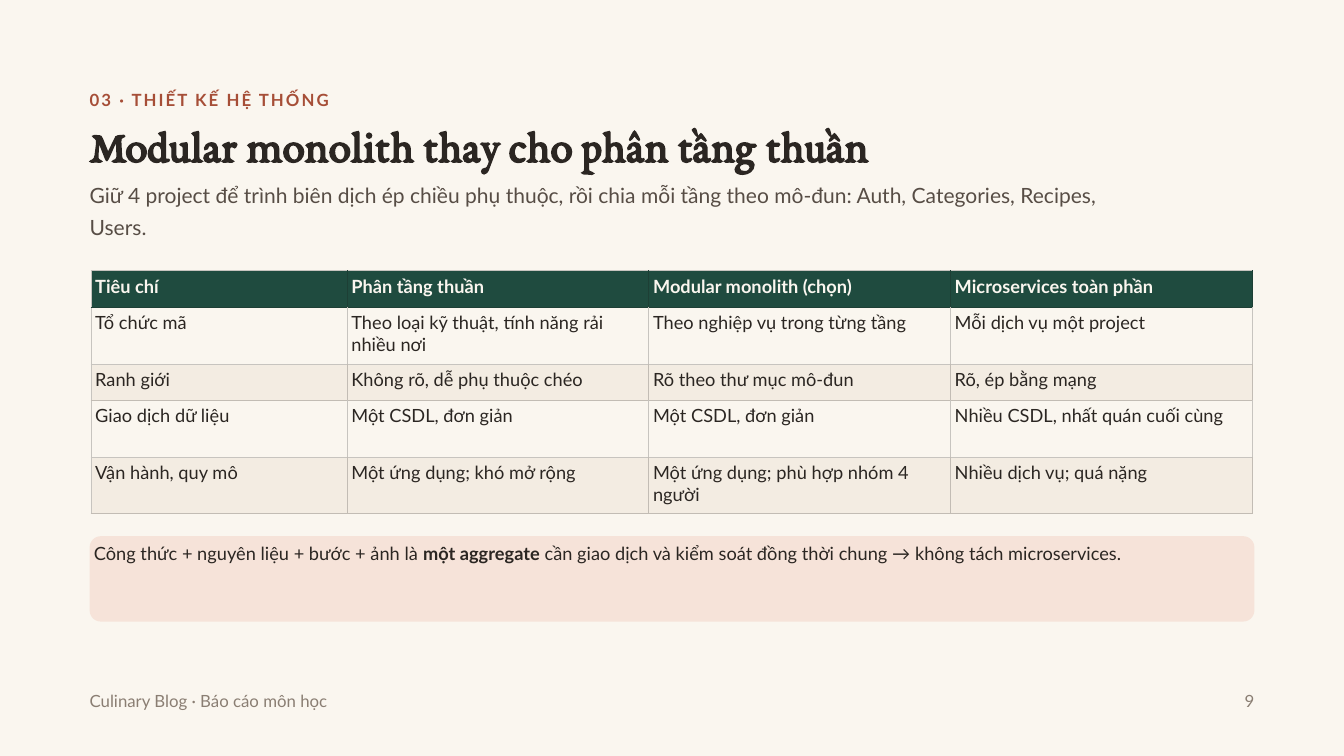
"""Build the slide that compares a modular monolith with its alternatives."""
import dataclasses
import typing

import lxml.etree
import pptx
import pptx.dml.color
import pptx.enum.shapes
import pptx.enum.text
import pptx.oxml.ns
import pptx.util

SCALE = 9525
ALIGN = pptx.enum.text.PP_ALIGN


@dataclasses.dataclass(frozen=True)
class Theme:
    paper: str = "FAF6EF"
    ink: str = "2B2622"
    soft: str = "574D45"
    mute: str = "8A7E73"
    rust: str = "A64E37"
    green: str = "1F4B3F"
    sand: str = "F3ECE2"
    blush: str = "F6E3D9"
    head_edge: str = "1D3F35"
    row_edge: str = "C7C4BF"
    sand_edge: str = "C2BCB4"
    serif: str = "EB Garamond"
    sans: str = "Lato"
    title: float = 48
    lead: float = 22.5
    body: float = 19.5
    small: float = 18


THEME = Theme()


class Box(typing.NamedTuple):
    left: int
    top: int
    width: int
    height: int


class Style(typing.NamedTuple):
    size: float
    color: str
    lead: float
    bold: bool = False
    face: str = THEME.sans
    align: typing.Any = ALIGN.LEFT
    track: int = 0


class Run(typing.NamedTuple):
    text: str
    bold: bool = False


class Label(typing.NamedTuple):
    box: Box
    runs: list[Run]
    style: Style
    inset: int = 0


class Band(typing.NamedTuple):
    fill: str | None
    edge: str
    style: Style


SMALL = Style(THEME.small, THEME.mute, 21.6)
CELL = Style(THEME.body, THEME.ink, 23.4)
HEAD = Band(THEME.green, THEME.head_edge, CELL._replace(color=THEME.paper, bold=True))
PLAIN = Band(None, THEME.row_edge, CELL)
TINT = Band(THEME.sand, THEME.sand_edge, CELL)

LABELS = [
    Label(Box(128, 128, 1714, 33), [Run("03 · THIẾT KẾ HỆ THỐNG")],
          SMALL._replace(color=THEME.rust, bold=True, track=220)),
    Label(Box(128, 174, 1714, 69), [Run("Modular monolith thay cho phân tầng thuần")],
          Style(THEME.title, THEME.ink, 52.8, True, THEME.serif)),
    Label(Box(128, 252, 1442, 101),
          [Run("Giữ 4 project để trình biên dịch ép chiều phụ thuộc, rồi chia mỗi tầng "
               "theo mô-đun: Auth, Categories, Recipes, Users.")],
          Style(THEME.lead, THEME.soft, 33.8)),
    Label(Box(128, 761, 1664, 127),
          [Run("Công thức + nguyên liệu + bước + ảnh là "), Run("một aggregate", True),
           Run(" cần giao dịch và kiểm soát đồng thời chung → không tách microservices.")],
          CELL._replace(lead=29.2), 6),
    Label(Box(128, 987, 453, 33), [Run("Culinary Blog · Báo cáo môn học")], SMALL),
    Label(Box(1767, 987, 25, 33), [Run("9")], SMALL._replace(align=ALIGN.RIGHT)),
]

GRID = Box(130, 387, 1659, 346)
COLS = [366, 431, 431, 431]
ROWS = [52, 81, 52, 81, 81]
BANDS = [HEAD, PLAIN, TINT, PLAIN, TINT]
CELLS = [
    ["Tiêu chí", "Phân tầng thuần", "Modular monolith (chọn)", "Microservices toàn phần"],
    ["Tổ chức mã", "Theo loại kỹ thuật, tính năng rải nhiều nơi",
     "Theo nghiệp vụ trong từng tầng", "Mỗi dịch vụ một project"],
    ["Ranh giới", "Không rõ, dễ phụ thuộc chéo", "Rõ theo thư mục mô-đun", "Rõ, ép bằng mạng"],
    ["Giao dịch dữ liệu", "Một CSDL, đơn giản", "Một CSDL, đơn giản",
     "Nhiều CSDL, nhất quán cuối cùng"],
    ["Vận hành, quy mô", "Một ứng dụng; khó mở rộng", "Một ứng dụng; phù hợp nhóm 4 người",
     "Nhiều dịch vụ; quá nặng"],
]
NOTE = Box(128, 766, 1664, 122)
CURVE = 16


def emu(px: int) -> pptx.util.Emu:
    return pptx.util.Emu(px * SCALE)


def place(box: Box) -> list[pptx.util.Emu]:
    return [emu(side) for side in box]


def tone(code: str) -> pptx.dml.color.RGBColor:
    return pptx.dml.color.RGBColor.from_string(code)


def pad(item: typing.Any, px: int) -> None:
    item.margin_left = item.margin_top = item.margin_right = item.margin_bottom = emu(px)


def write(frame: typing.Any, runs: list[Run], style: Style) -> None:
    frame.word_wrap = True
    para = frame.paragraphs[0]
    para.alignment = style.align
    para.line_spacing = pptx.util.Pt(style.lead)
    font = para.font
    font.name = style.face
    font.size = pptx.util.Pt(style.size)
    font.bold = style.bold
    font.color.rgb = tone(style.color)
    for part in runs:
        run = para.add_run()
        run.text = part.text
        if part.bold:
            run.font.bold = True
        if style.track:
            run._r.get_or_add_rPr().set("spc", str(style.track))


def draw_label(slide: typing.Any, label: Label) -> None:
    frame = slide.shapes.add_textbox(*place(label.box)).text_frame
    pad(frame, label.inset)
    write(frame, label.runs, label.style)


def draw_note(slide: typing.Any, box: Box) -> None:
    kind = pptx.enum.shapes.MSO_SHAPE.ROUNDED_RECTANGLE
    shape = slide.shapes.add_shape(kind, *place(box))
    shape.adjustments[0] = CURVE / box.height
    shape.shadow.inherit = False
    shape.fill.solid()
    shape.fill.fore_color.rgb = tone(THEME.blush)
    shape.line.fill.background()


def rule(cell: typing.Any, edges: dict[str, str]) -> None:
    props = cell._tc.get_or_add_tcPr()
    name = pptx.oxml.ns.qn
    for spot, (side, code) in enumerate(edges.items()):
        line = lxml.etree.Element(name(f"a:{side}"), w=str(pptx.util.Pt(1)))
        fill = lxml.etree.SubElement(line, name("a:solidFill"))
        lxml.etree.SubElement(fill, name("a:srgbClr"), val=code)
        props.insert(spot, line)


def draw_grid(slide: typing.Any) -> None:
    table = slide.shapes.add_table(len(ROWS), len(COLS), *place(GRID)).table
    table.first_row = table.horz_banding = False
    for col, width in zip(table.columns, COLS):
        col.width = emu(width)
    above = THEME.row_edge
    for y, (band, texts) in enumerate(zip(BANDS, CELLS)):
        table.rows[y].height = emu(ROWS[y])
        for x, text in enumerate(texts):
            cell = table.cell(y, x)
            pad(cell, 6)
            write(cell.text_frame, [Run(text)], band.style)
            if band.fill:
                cell.fill.solid()
                cell.fill.fore_color.rgb = tone(band.fill)
            else:
                cell.fill.background()
            left = band.edge if x else THEME.row_edge
            rule(cell, {"lnL": left, "lnR": band.edge, "lnT": above, "lnB": band.edge})
        above = band.edge


def main() -> None:
    deck = pptx.Presentation()
    deck.slide_width, deck.slide_height = emu(1920), emu(1080)
    slide = deck.slides.add_slide(deck.slide_layouts[6])
    slide.background.fill.solid()
    slide.background.fill.fore_color.rgb = tone(THEME.paper)
    draw_grid(slide)
    draw_note(slide, NOTE)
    for label in LABELS:
        draw_label(slide, label)
    deck.save("out.pptx")


if __name__ == "__main__":
    main()
